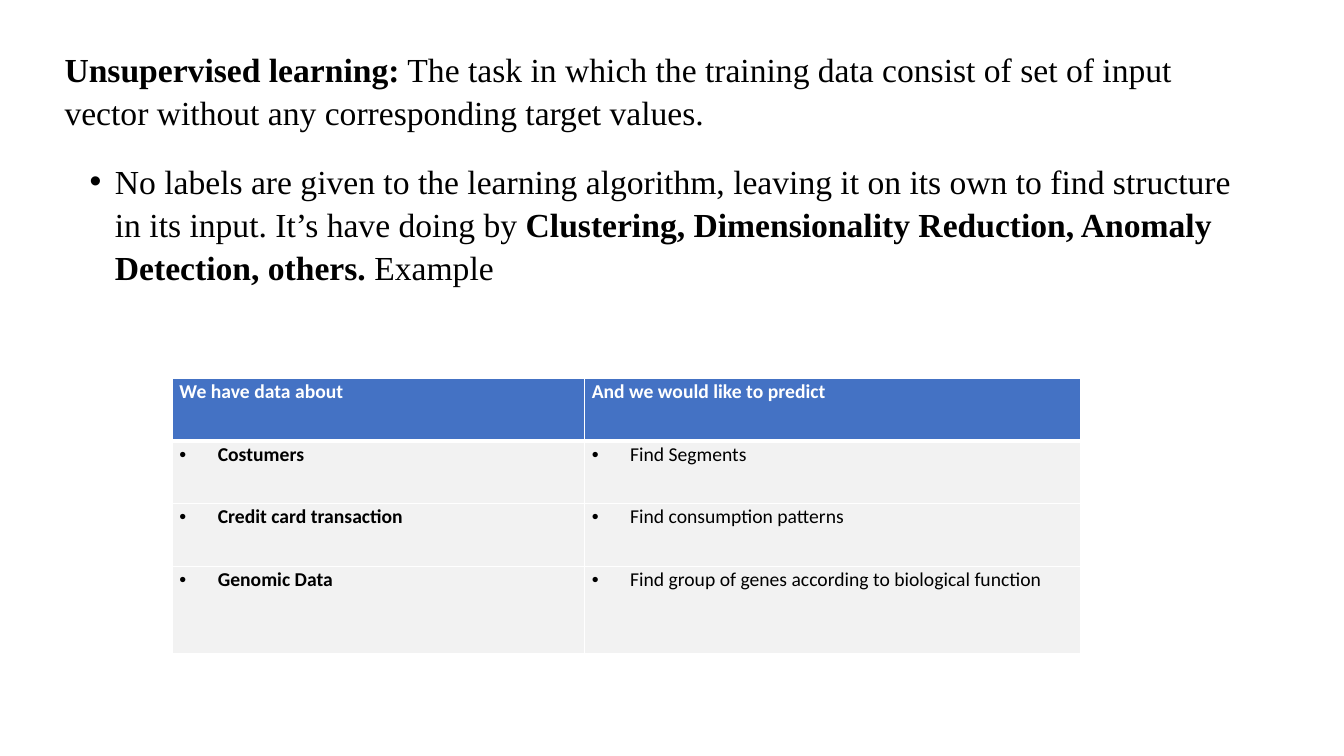
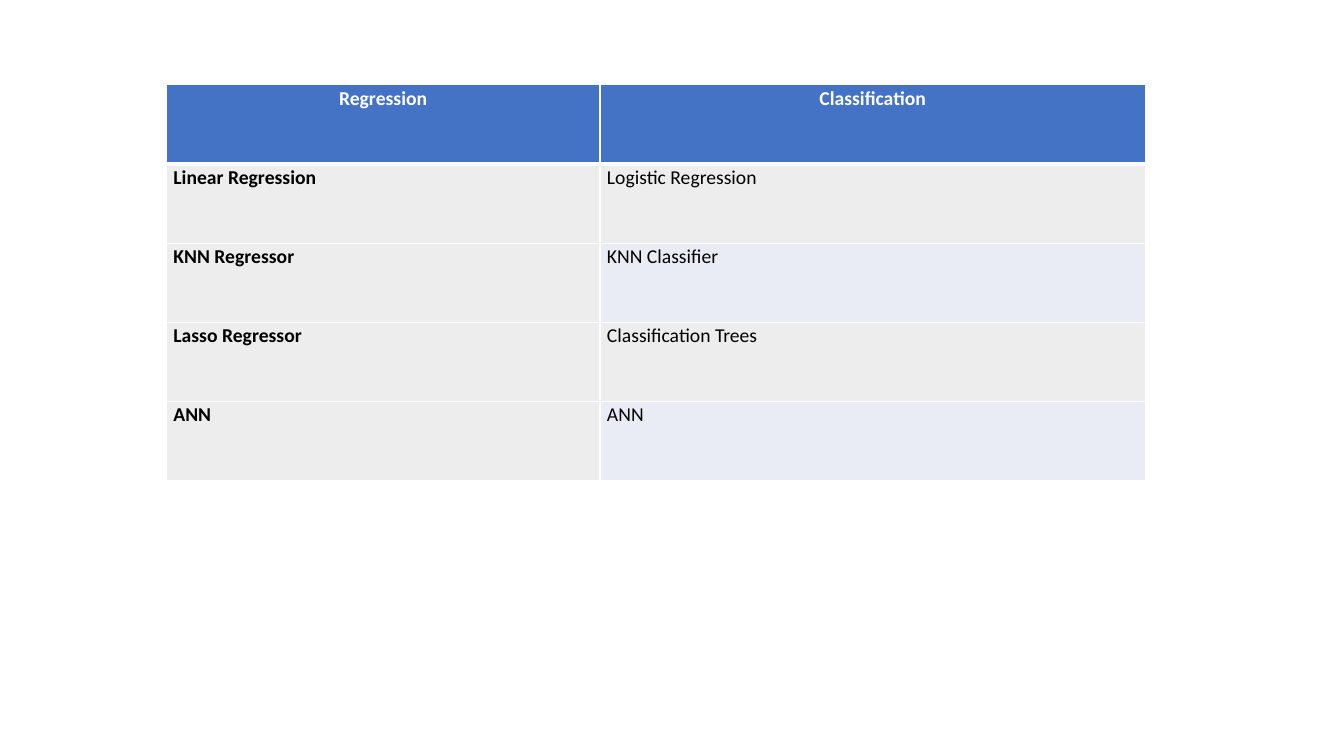
from lxml.etree import SubElement
from pptx import Presentation
from pptx.dml.color import RGBColor
from pptx.enum.text import MSO_ANCHOR, MSO_AUTO_SIZE, PP_ALIGN
from pptx.oxml.ns import qn
from pptx.util import Inches, Pt

BLACK = RGBColor(0x00, 0x00, 0x00)
WHITE = RGBColor(0xFF, 0xFF, 0xFF)
BLUE = RGBColor(0x44, 0x72, 0xC4)
PALE_GREY = RGBColor(0xF2, 0xF2, 0xF2)
GREY = RGBColor(0xED, 0xED, 0xED)
LAVENDER = RGBColor(0xE9, 0xEB, 0xF5)

BODY_FONT = {"name": "Times New Roman", "size": Pt(24)}
TABLE_FONT = {"name": "Calibri", "size": Pt(14)}
BODY_SPACING = {"line_spacing": 1.07, "space_before": Pt(10), "space_after": Pt(8)}
TABLE_SPACING = {"line_spacing": 1.07, "space_before": Pt(0), "space_after": Pt(8)}
CELL_FORMAT = {
    "margin_left": Inches(0.07), "margin_right": Inches(0.07),
    "margin_top": 0, "margin_bottom": 0, "vertical_anchor": MSO_ANCHOR.TOP,
}
PLAIN_TABLE = {"first_row": False, "horz_banding": False}
CONTENT_LAYOUT, BLANK_LAYOUT = 1, 6
GRID = 100  # columns across and rows down each slide


def apply(target, formats):
    for name, value in formats.items():
        setattr(target, name, value)


class Deck:
    """Holds the style and the current slide."""

    def __init__(self):
        self.deck = Presentation()
        self.deck.slide_width, self.deck.slide_height = Inches(13.33), Inches(7.5)
        self.page = None

    def column(self, count):
        return round(self.deck.slide_width * count / GRID)

    def row(self, count):
        return round(self.deck.slide_height * count / GRID)

    def add_page(self, layout):
        self.page = self.deck.slides.add_slide(self.deck.slide_layouts[layout])
        title = self.page.shapes.title
        if title is not None:
            title.element.getparent().remove(title.element)

    def add_spans(self, para, spans, font, spacing, color=BLACK):
        """Fill a paragraph with (text, bold) spans."""
        apply(para, spacing)
        for text, bold in spans:
            span = para.add_run()
            span.text = text
            apply(span.font, {**font, "bold": bold})
            span.font.color.rgb = color

    def indent(self, para, left, hanging, bullet):
        properties = para._p.get_or_add_pPr()
        properties.set("marL", str(Inches(left)))
        properties.set("indent", str(-Inches(hanging)))
        if bullet:
            SubElement(properties, qn("a:buFont"), typeface="Arial")
            SubElement(properties, qn("a:buChar"), char="•")
        else:
            SubElement(properties, qn("a:buNone"))

    def body(self, left, top, width, height, paragraphs):
        box = self.page.placeholders[1]
        apply(box, {"left": self.column(left), "top": self.row(top),
                    "width": self.column(width), "height": self.row(height)})
        frame = box.text_frame
        apply(frame, {"word_wrap": True, "auto_size": MSO_AUTO_SIZE.NONE,
                      "vertical_anchor": MSO_ANCHOR.TOP})
        for index, (spans, bullet) in enumerate(paragraphs):
            para = frame.add_paragraph() if index else frame.paragraphs[0]
            self.add_spans(para, spans, BODY_FONT, BODY_SPACING)
            self.indent(para, *((0.5, 0.25) if bullet else (0, 0)), bullet)

    def borders(self, cell, row_index):
        """White rules, with a thicker one below the header row."""
        properties = cell._tc.get_or_add_tcPr()
        widths = {"L": 1, "R": 1, "T": 3 if row_index == 1 else 1,
                  "B": 3 if row_index == 0 else 1}
        for side, width in widths.items():
            line = SubElement(properties, qn("a:ln" + side), w=str(Pt(width)))
            fill = SubElement(line, qn("a:solidFill"))
            SubElement(fill, qn("a:srgbClr"), val=str(WHITE))

    def table(self, left, top, widths, heights, rows, fills,
              header_align=PP_ALIGN.LEFT, bullets=False):
        """Draw a table; fills gives each column's cycle of row colours."""
        table = self.page.shapes.add_table(
            len(rows), len(widths), self.column(left), self.row(top),
            self.column(sum(widths)), self.row(sum(heights))).table
        apply(table, PLAIN_TABLE)
        for column, width in zip(table.columns, widths):
            column.width = self.column(width)
        for row, height in zip(table.rows, heights):
            row.height = self.row(height)
        for row_index, texts in enumerate(rows):
            header = row_index == 0
            for column_index, text in enumerate(texts):
                cell = table.cell(row_index, column_index)
                apply(cell, CELL_FORMAT)
                self.borders(cell, row_index)
                cycle = fills[column_index]
                cell.fill.solid()
                cell.fill.fore_color.rgb = (
                    BLUE if header else cycle[(row_index - 1) % len(cycle)])
                para = cell.text_frame.paragraphs[0]
                para.alignment = header_align if header else PP_ALIGN.LEFT
                self.add_spans(para, [(text, header or column_index == 0)], TABLE_FONT,
                               TABLE_SPACING, WHITE if header else BLACK)
                if bullets and not header:
                    self.indent(para, 0.38, 0.38, True)

    def save(self):
        self.deck.save("out.pptx")


def main():
    deck = Deck()

    # Unsupervised learning: definition and examples
    deck.add_page(CONTENT_LAYOUT)
    deck.body(4.05, 5.47, 89.12, 84.67, [
        ([("Unsupervised learning:", True),
          (" The task in which the training data consist of set of input vector "
           "without any corresponding target values.", False)], False),
        ([("No labels are given to the learning algorithm, leaving it on its own to "
           "find structure in its input. It’s have doing by ", False),
          ("Clustering, Dimensionality Reduction, Anomaly Detection, others. ", True),
          ("Example", False)], True),
    ])
    deck.table(12.83, 50, [30.68, 36.91], [8.3] * 3 + [11.5], [
        ("We have data about", "And we would like to predict"),
        ("Costumers", "Find Segments"),
        ("Credit card transaction", "Find consumption patterns"),
        ("Genomic Data", "Find group of genes according to biological function"),
    ], fills=[[PALE_GREY], [PALE_GREY]], bullets=True)

    # Regression and classification methods
    deck.add_page(BLANK_LAYOUT)
    deck.table(12.38, 11.2, [32.26, 40.59], [10.48] * 5, [
        ("Regression", "Classification"),
        ("Linear Regression", "Logistic Regression"),
        ("KNN Regressor", "KNN Classifier"),
        ("Lasso Regressor", "Classification Trees"),
        ("ANN", "ANN"),
    ], fills=[[GREY], [GREY, LAVENDER]], header_align=PP_ALIGN.CENTER)

    deck.save()


if __name__ == "__main__":
    main()
